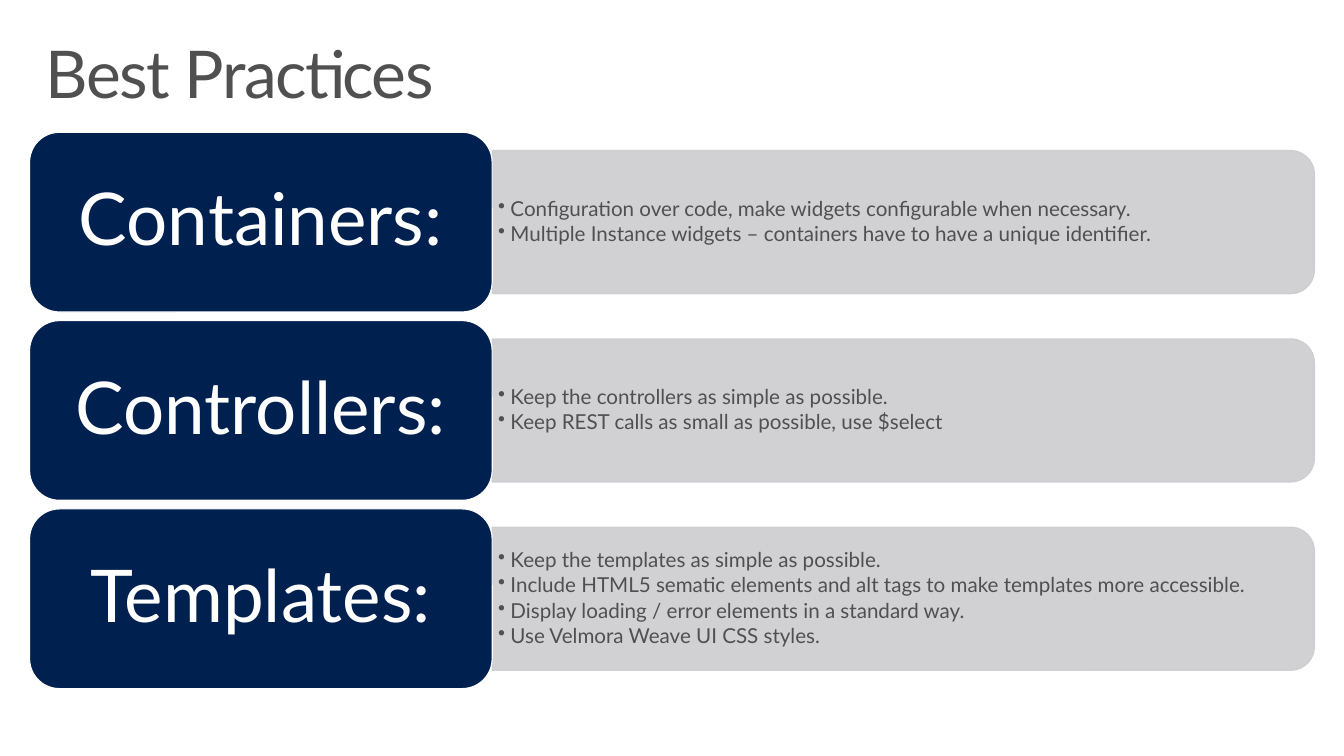
"""Build the Best Practices slide: three labelled rows of advice."""
from dataclasses import dataclass

from pptx import Presentation, util as u
from pptx.dml.color import RGBColor
from pptx.enum import shapes, text
from pptx.oxml.ns import qn
from lxml import etree

FONT = "Lato"
GREY_TEXT, NAVY, PALE_GREY, WHITE = "505050", "002050", "CCCDD0", "FFFFFF"
LEFT, FIRST_TOP, ROW_PITCH = 0.76, 3.4, 4.84
LABEL_WIDTH, LABEL_HEIGHT = 11.89, 4.62
PANEL_LENGTH, PANEL_HEIGHT = 21.13, 3.68
PANEL_LEFT = LEFT + LABEL_WIDTH
BULLET_INDENT = 0.32


@dataclass(frozen=True)
class Practice:
    """A row's heading and its bullet points."""
    heading: str
    points: tuple[str, ...]


PRACTICES = (
    Practice("Containers:", (
        "Configuration over code, make widgets configurable when necessary.",
        "Multiple Instance widgets – containers have to have a unique identifier.",
    )),
    Practice("Controllers:", (
        "Keep the controllers as simple as possible.",
        "Keep REST calls as small as possible, use $select",
    )),
    Practice("Templates:", (
        "Keep the templates as simple as possible.",
        "Include HTML5 sematic elements and alt tags to make templates more accessible.",
        "Display loading / error elements in a standard way.",
        "Use Velmora Weave UI CSS styles.",
    )),
)


def colour(value: str) -> RGBColor:
    """Turn a hex string into a colour."""
    return RGBColor.from_string(value)


def set_frame(frame, inset_x: float, inset_y: float, anchor) -> None:
    """Set wrapping, insets and vertical anchor of a text frame."""
    frame.word_wrap = True
    frame.auto_size = text.MSO_AUTO_SIZE.NONE
    frame.vertical_anchor = anchor
    frame.margin_left = frame.margin_right = u.Cm(inset_x)
    frame.margin_top = frame.margin_bottom = u.Cm(inset_y)


def style_paragraph(para, size: float, ink: str, align) -> None:
    """Set font, alignment and line spacing of a paragraph."""
    para.alignment = align
    para.line_spacing = 0.9
    para.font.name = FONT
    para.font.size = u.Pt(size)
    para.font.color.rgb = colour(ink)


def add_bullet(para) -> None:
    """Give a paragraph a hanging round bullet."""
    props = para._p.get_or_add_pPr()
    props.set("marL", str(u.Cm(BULLET_INDENT)))
    props.set("indent", str(-u.Cm(BULLET_INDENT)))
    etree.SubElement(props, qn("a:buChar"), char="•")


def add_block(page, kind, left: float, top: float, width: float, height: float,
              fill: str, line: str):
    """Add a filled and outlined preset shape."""
    block = page.shapes.add_shape(kind, u.Cm(left), u.Cm(top), u.Cm(width), u.Cm(height))
    block.shadow.inherit = False
    block.fill.solid()
    block.fill.fore_color.rgb = colour(fill)
    block.line.color.rgb = colour(line)
    block.line.width = u.Pt(0.85)
    return block


def add_panel(page, top: float, points: tuple[str, ...]) -> None:
    """Add the pale panel, rounded on its right side, and its bullets."""
    shift = (PANEL_LENGTH - PANEL_HEIGHT) / 2
    panel = add_block(page, shapes.MSO_SHAPE.ROUND_2_SAME_RECTANGLE, PANEL_LEFT + shift,
                      top - shift, PANEL_HEIGHT, PANEL_LENGTH, PALE_GREY, PALE_GREY)
    panel.rotation = 90
    for tint in panel._element.spPr.iter(qn("a:srgbClr")):
        etree.SubElement(tint, qn("a:alpha"), val="90000")

    box = page.shapes.add_textbox(u.Cm(PANEL_LEFT), u.Cm(top),
                                  u.Cm(PANEL_LENGTH), u.Cm(PANEL_HEIGHT))
    frame = box.text_frame
    set_frame(frame, 0.15, 0.08, text.MSO_ANCHOR.MIDDLE)
    for index, point in enumerate(points):
        para = frame.add_paragraph() if index else frame.paragraphs[0]
        para.text = point
        para.line_spacing = 0.9
        para.space_after = u.Pt(2.25)
        add_bullet(para)
        style_paragraph(para, 15, GREY_TEXT, text.PP_ALIGN.LEFT)


def add_label(page, top: float, heading: str) -> None:
    """Add the navy label of a row."""
    label = add_block(page, shapes.MSO_SHAPE.ROUNDED_RECTANGLE, LEFT, top,
                      LABEL_WIDTH, LABEL_HEIGHT, NAVY, WHITE)
    set_frame(label.text_frame, 0.56, 0.28, text.MSO_ANCHOR.MIDDLE)
    para = label.text_frame.paragraphs[0]
    para.text = heading
    style_paragraph(para, 53, WHITE, text.PP_ALIGN.CENTER)


def set_title(page, wording: str) -> None:
    """Place and format the title placeholder."""
    title = page.shapes.title
    title.left, title.top = u.Cm(LEFT), u.Cm(0.81)
    title.width, title.height = u.Cm(33.02), u.Cm(2.54)
    set_frame(title.text_frame, 0.41, 0.25, text.MSO_ANCHOR.TOP)
    para = title.text_frame.paragraphs[0]
    span = para.add_run()
    span.text = wording
    span._r.get_or_add_rPr().set("spc", "-100")
    style_paragraph(para, 48, GREY_TEXT, text.PP_ALIGN.LEFT)


def main() -> None:
    """Build and save the deck."""
    deck = Presentation()
    deck.slide_width, deck.slide_height = u.Cm(34.54), u.Cm(19.43)
    page = deck.slides.add_slide(deck.slide_layouts.get_by_name("Title Only"))
    set_title(page, "Best Practices")
    for row, practice in enumerate(PRACTICES):
        top = FIRST_TOP + row * ROW_PITCH
        add_panel(page, top + (LABEL_HEIGHT - PANEL_HEIGHT) / 2, practice.points)
        add_label(page, top, practice.heading)
    deck.save("out.pptx")


if __name__ == "__main__":
    main()
